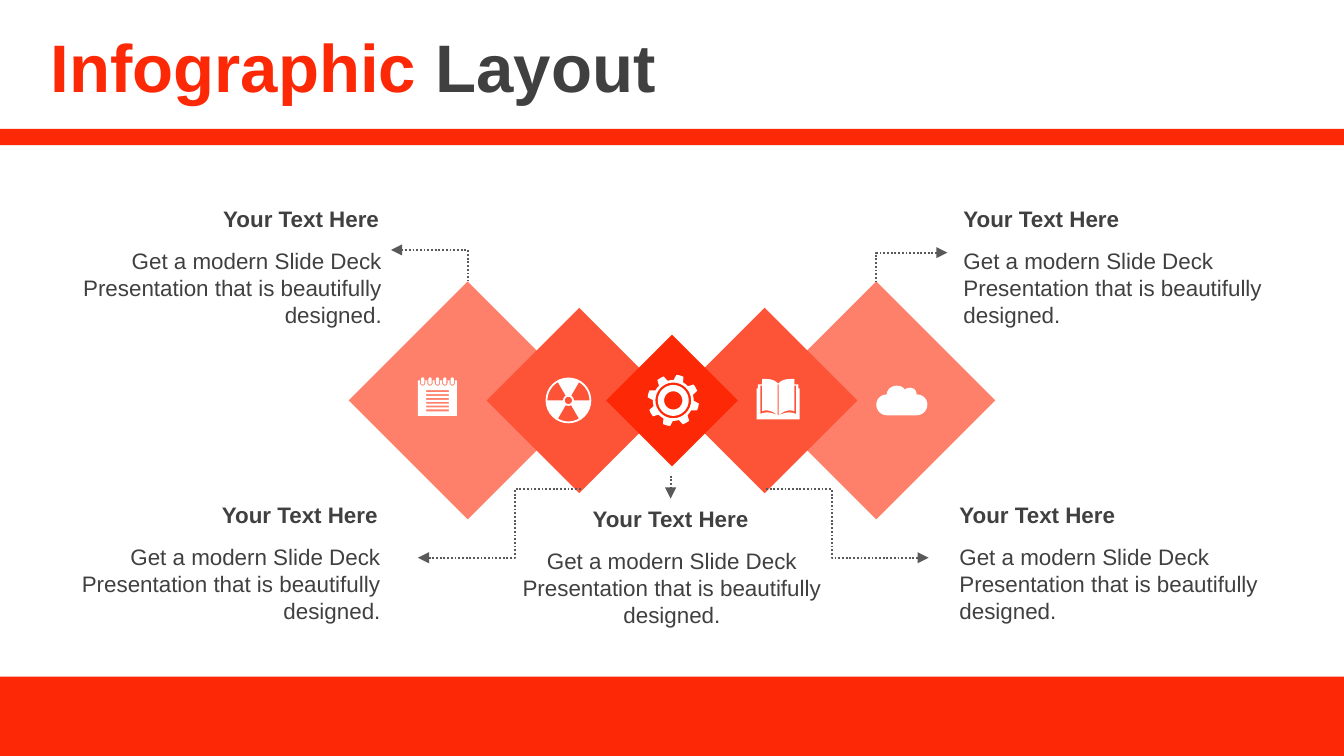
from math import cos, sin, radians

from lxml.etree import SubElement
from pptx import Presentation
from pptx.dml.color import RGBColor
from pptx.enum.dml import MSO_LINE
from pptx.enum.shapes import MSO_CONNECTOR as LINK, MSO_SHAPE as SHAPE
from pptx.enum.text import MSO_ANCHOR as ANCHOR, PP_ALIGN as ALIGN
from pptx.oxml.ns import qn
from pptx.util import Inches, Pt

RED = RGBColor(0xFD, 0x29, 0x06)
CORAL = RGBColor(0xFD, 0x54, 0x38)
PINK = RGBColor(0xFE, 0x7F, 0x6A)
DARK = RGBColor(0x40, 0x40, 0x40)
GRAY = RGBColor(0x59, 0x59, 0x59)
WHITE = RGBColor(0xFF, 0xFF, 0xFF)

WIDE = 10
HIGH = WIDE * 9 / 16

HEAD = {"name": "Arial", "size": Pt(12), "bold": True}
BODY = {"name": "Arial", "size": Pt(12), "bold": False}
TITLE = {"name": "Arial", "size": Pt(36), "bold": True}


def paint(shape, color):
    shape.shadow.inherit = False
    shape.fill.solid()
    shape.fill.fore_color.rgb = color
    shape.line.fill.background()


def add_solid(shapes, kind, box, color):
    paint(shapes.add_shape(kind, *map(Inches, box)), color)


def add_text(shapes, box, runs, style, align=ALIGN.LEFT, anchor=ANCHOR.TOP):
    """Place one paragraph; runs are (text, color) pairs."""
    frame = shapes.add_textbox(*map(Inches, box)).text_frame
    frame.word_wrap = True
    frame.vertical_anchor = anchor
    para = frame.paragraphs[0]
    para.alignment = align
    for text, color in runs:
        run = para.add_run()
        run.text = text
        for key, value in style.items():
            setattr(run.font, key, value)
        run.font.color.rgb = color


def arc(r, start=0, stop=360, x=0, y=0, steps=32):
    """Points on a circle, angles in degrees clockwise from the right."""
    turns = [radians(start + (stop - start) * i / steps) for i in range(steps + 1)]
    return [(x + r * cos(t), y + r * sin(t)) for t in turns]


def curve(*knots):
    """Flatten knots: pairs are corners, sixes are cubic Bezier steps."""
    points = []
    for knot in knots:
        if len(knot) == 2:
            points.append(knot)
            continue
        (ax, ay), (bx, by, cx, cy, dx, dy) = points[-1], knot
        for t in (i / 8 for i in range(1, 9)):
            u = 1 - t
            points.append(tuple(
                u**3 * a + 3 * u * u * t * b + 3 * u * t * t * c + t**3 * d
                for a, b, c, d in ((ax, bx, cx, dx), (ay, by, cy, dy))))
    return points


def rect(x, y, w, h):
    return [(x, y), (x + w, y), (x + w, y + h), (x, y + h)]


def draw_icon(shapes, at, loops):
    """Draw white loops, in hundredths of an inch from the point at."""
    loops = [[(Inches(at[0] + x / 100), Inches(at[1] + y / 100))
              for x, y in loop] for loop in loops]
    pen = shapes.build_freeform(*loops[0][0])
    for i, loop in enumerate(loops):
        if i:
            pen.move_to(*loop[0])
        pen.add_line_segments(loop[1:], close=True)
    paint(pen.convert_to_shape(), WHITE)


def draw_notes(shapes, at):
    loops = [rect(0, 2, 29, 26.5)]
    loops += [rect(6, 9.4 + 2.85 * i, 17, 1.4) for i in range(6)]
    for i in range(5):
        x = 3.5 + 5.5 * i
        loops.append([(x - 2, 2)] + arc(2, 180, 0, x, 4, 8) + [(x + 2, 2)])
        loops.append(arc(1.2, 180, 360, x, 1, 8) + arc(1.2, 0, 180, x, 4, 8))
    draw_icon(shapes, at, loops)


def draw_atom(shapes, at):
    loops = [arc(17), arc(2.7)]
    for start in (60, 180, 300):
        loops.append(arc(15.6, start, start + 60) + arc(4, start + 60, start))
    draw_icon(shapes, at, loops)


def draw_gear(shapes, at):
    rim = []
    for i in range(8):
        mid = 15 + 45 * i
        rim += arc(15.2, mid - 31, mid - 14, steps=4)
        rim += arc(19.2, mid - 8, mid + 8, steps=2)
    draw_icon(shapes, at, [rim, arc(13.3), arc(11.5), arc(6.8)])


def draw_book(shapes, at):
    def flip(loop):
        return [(32 - x, y) for x, y in loop]

    page = curve((0, 30), (0, 7), (1, 7), (1, 4), (4, 4), (4, 0),
                 (9, 0, 13, 0, 16, 3.5))
    edge = curve((4, 5), (2.7, 5), (2.7, 26), (8, 24, 11, 25, 15.5, 27),
                 (12, 24, 8, 22.5, 4, 24))
    spine = rect(15.7, 4, 0.6, 23)
    draw_icon(shapes, at, [page + flip(page)[::-1], edge, flip(edge), spine])


def draw_cloud(shapes, at):
    draw_icon(shapes, at, [curve(
        (15, 0), (18, 0, 20, 1, 21.5, 3), (22, 2, 23.5, 1.5, 25, 1.5),
        (28, 1.5, 30, 3.5, 30, 6.5), (35, 6.5, 38, 10, 38, 14),
        (38, 18.5, 34.5, 22, 30, 22), (8, 22), (3.5, 22, 0, 18.5, 0, 14),
        (0, 10, 3.5, 6.5, 7.7, 6.5), (8, 3, 11, 0, 15, 0))])


def add_arrow(shapes, start, end, kind=LINK.STRAIGHT, tip="tailEnd",
              form=None, bend=None):
    """Dotted arrow; form renames the elbow preset, bend moves its knee."""
    link = shapes.add_connector(kind, *map(Inches, start + end))
    line = link.line
    line.width = Pt(1)
    line.color.rgb = GRAY
    line.dash_style = MSO_LINE.ROUND_DOT
    props = link._element.spPr
    SubElement(line._get_or_add_ln(), qn("a:" + tip), type="triangle")
    SubElement(props, qn("a:effectLst"))
    preset = props.find(qn("a:prstGeom"))
    if form:
        preset.set("prst", form)
    if bend:
        guides = preset.find(qn("a:avLst"))
        SubElement(guides, qn("a:gd"), name="adj1", fmla=f"val {bend}")


def add_frame(shapes, box):
    x, y, w, h = box
    add_solid(shapes, SHAPE.RECTANGLE, (x, y + h - 0.59, w, 0.59), RED)
    add_solid(shapes, SHAPE.RECTANGLE, (x, y + 0.96, w, 0.12), RED)
    add_text(shapes, (x + 0.28, y, w - 0.28, 0.97),
             [("Infographic ", RED), ("Layout", DARK)], TITLE,
             anchor=ANCHOR.MIDDLE)


def add_gems(shapes, box):
    x, y, w, h = box
    mid, row = x + w / 2, y + h / 2
    for gap, size, color in ((1.52, 1.77, PINK), (0.69, 1.38, CORAL),
                             (0, 0.98, RED)):
        for shift in {gap, -gap}:
            add_solid(shapes, SHAPE.DIAMOND, (
                mid + shift - size / 2, row - size / 2, size, size), color)
    for draw, dx, dy in ((draw_notes, -1.89, -0.17), (draw_atom, -0.77, 0),
                         (draw_gear, 0.01, 0), (draw_book, 0.63, -0.16),
                         (draw_cloud, 1.52, -0.11)):
        draw(shapes, (mid + dx, row + dy))


def add_note(shapes, box, align):
    x, y, w, h = box
    add_text(shapes, (x, y, w - 0.02, 0.3), [("Your Text Here", DARK)],
             HEAD, align)
    add_text(shapes, (x, y + 0.31, w, h - 0.31), [(
        "Get a modern Slide Deck Presentation that is beautifully designed.",
        DARK)], BODY, align)


def add_links(shapes):
    for tip, top in (((2.91, 1.86), (3.48, 2.09)), ((7.05, 1.88), (6.52, 2.09))):
        add_arrow(shapes, tip, top, LINK.ELBOW, "headEnd", "bentConnector2")
    for start, end in (((4.32, 3.64), (3.11, 4.15)), ((5.7, 3.64), (6.91, 4.15))):
        add_arrow(shapes, start, end, LINK.ELBOW, bend=40500)
    add_arrow(shapes, (4.99, 3.54), (4.99, 3.71))


def main():
    deck = Presentation()
    deck.slide_width, deck.slide_height = Inches(WIDE), Inches(HIGH)
    shapes = deck.slides.add_slide(deck.slide_layouts[6]).shapes
    add_frame(shapes, (0, 0, WIDE, HIGH))
    add_gems(shapes, (2.6, 2.09, 4.8, 1.78))
    for x, y, align in ((0.36, 1.48, ALIGN.RIGHT), (0.35, 3.68, ALIGN.RIGHT),
                        (7.07, 1.48, ALIGN.LEFT), (7.04, 3.68, ALIGN.LEFT),
                        (3.71, 3.71, ALIGN.CENTER)):
        add_note(shapes, (x, y, 2.58, 1.02), align)
    add_links(shapes)
    deck.save("out.pptx")


if __name__ == "__main__":
    main()
